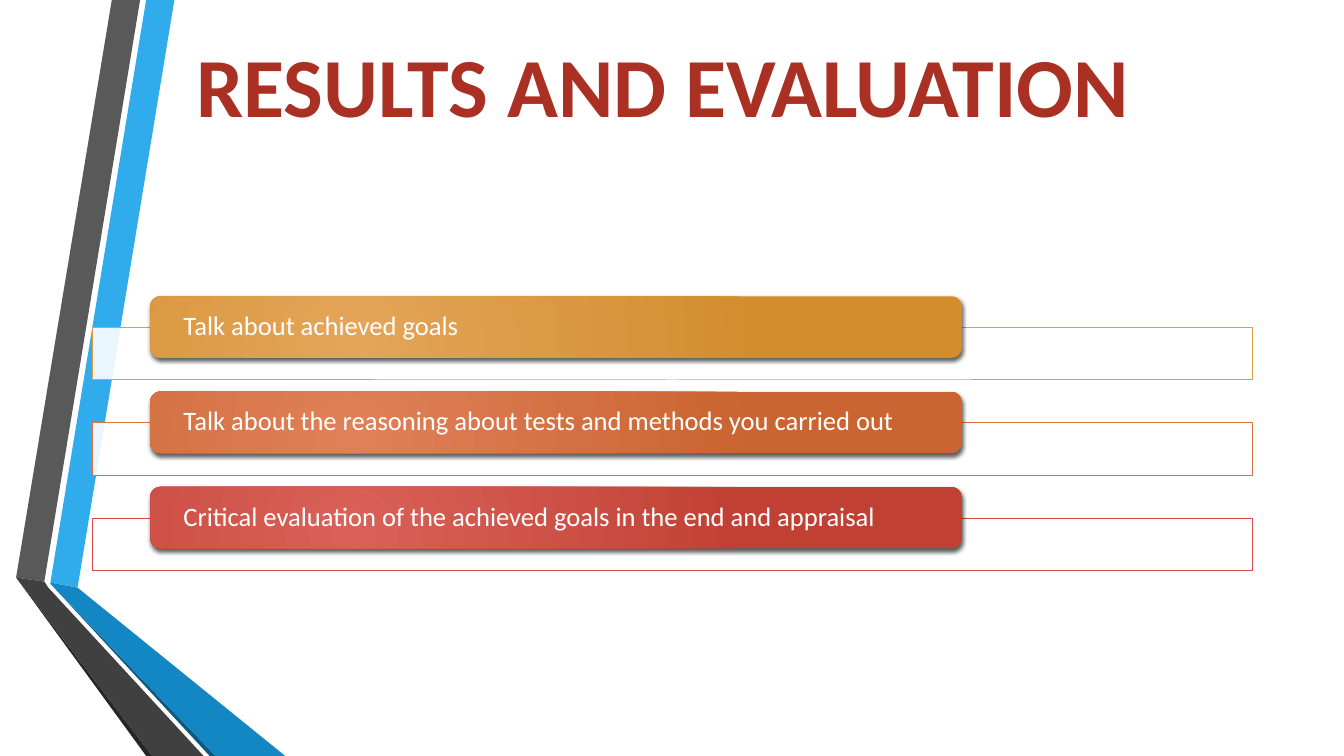
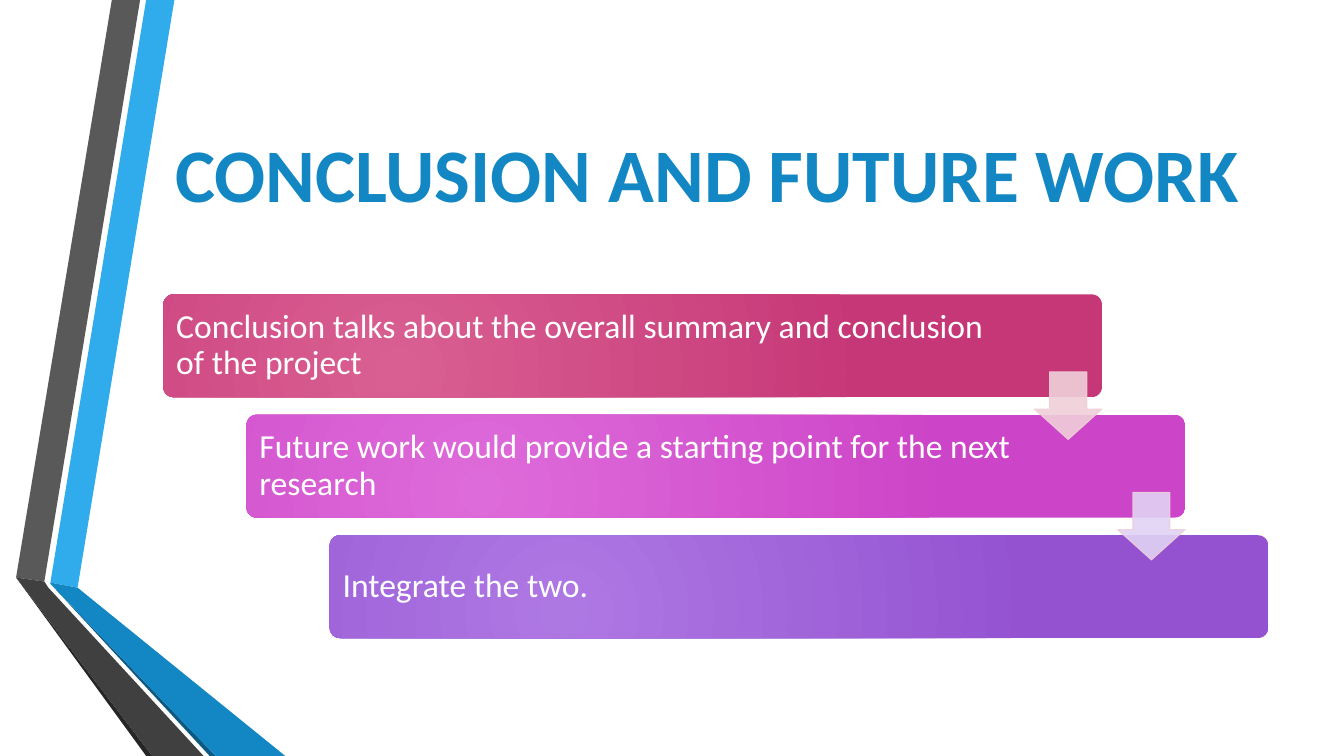
from pptx import Presentation
from pptx.dml.color import RGBColor
from pptx.enum import shapes, text
from pptx.oxml import parse_xml
from pptx.oxml.ns import nsdecls, qn
from pptx.util import Inches, Pt

FONT = "Calibri"
C = {
    "white": "FFFFFF", "black": "000000", "red": "A93023", "blue": "1287C3",
    "sky": "30ACEC", "navy": "0C5A82", "grey": "595959", "dark": "404040",
    "coal": "262626", "pale_pink": "F0CFD9", "pale_violet": "E1D3F4",
    "gold_line": "E29D3E", "orange_line": "DC723C", "red_line": "D64A3B",
}
GRADIENTS = {
    "gold": ("E4A559", "D38D2D"), "orange": ("DF8058", "CA6430"),
    "red": ("D96157", "C04033"), "pink": ("D95F92", "C63777"),
    "magenta": ("DE6BDA", "CC44C7"), "violet": ("AE78E3", "9452D1"),
}
RIBBONS = [
    ("sky", [(0.5, 5.78), (0.77, 5.83), (1.73, 0), (1.45, 0)]),
    ("grey", [(1.39, 0), (1.11, 0), (0.16, 5.73), (0.44, 5.77)]),
    ("coal", [(0.16, 5.73), (1.45, 7.5), (1.51, 7.5)]),
    ("navy", [(0.5, 5.79), (2.08, 7.5), (2.14, 7.5)]),
    ("blue", [(0.5, 5.79), (2.14, 7.5), (2.83, 7.5), (0.77, 5.83), (0.5, 5.78)]),
    ("dark", [(2.02, 7.5), (0.48, 5.83), (0.44, 5.77), (0.16, 5.73), (1.51, 7.5)]),
]
GOALS = [
    ("Talk about achieved goals", "gold"),
    ("Talk about the reasoning about tests and methods you carried out", "orange"),
    ("Critical evaluation of the achieved goals in the end and appraisal", "red"),
]
STEPS = [
    ("Conclusion talks about the overall summary and conclusion of the project",
     "pink", 1.1, "pale_pink"),
    ("Future work would provide a starting point for the next research",
     "magenta", 1.58, "pale_violet"),
    ("Integrate the two.", "violet", 1.58, None),
]


def rgb(name):
    """Return the named palette colour."""
    return RGBColor.from_string(C[name])


def write(sp, words, size, color="white", bold=False, align=text.PP_ALIGN.LEFT,
          insets=(0.1, 0.05, 0.1, 0.05), spacing=None):
    """Put one formatted, vertically centred paragraph in a shape."""
    tf = sp.text_frame
    tf.word_wrap = True
    tf.vertical_anchor = text.MSO_ANCHOR.MIDDLE
    (tf.margin_left, tf.margin_top,
     tf.margin_right, tf.margin_bottom) = map(Inches, insets)
    p = tf.paragraphs[0]
    p.alignment = align
    p.line_spacing = spacing
    r = p.add_run()
    r.text = words
    r.font.name = FONT
    r.font.size = Pt(size)
    r.font.bold = bold
    r.font.color.rgb = rgb(color)


def set_alpha(color_format_parent, percent):
    """Make the solid colour inside an element partly transparent."""
    color = color_format_parent.find(".//" + qn("a:srgbClr"))
    color.append(parse_xml(f'<a:alpha {nsdecls("a")} val="{percent * 1000}"/>'))


def add_shape(s, kind, box, fill="white", line=None, alpha=None, line_alpha=None):
    """Add a flat preset shape with optional outline and transparency."""
    sp = s.shapes.add_shape(kind, *map(Inches, box))
    sp.shadow.inherit = False
    sp.fill.solid()
    sp.fill.fore_color.rgb = rgb(fill)
    if alpha:
        set_alpha(sp.fill._xPr.find(qn("a:solidFill")), alpha)
    if line:
        sp.line.color.rgb = rgb(line)
        sp.line.width = Pt(0.75)
    else:
        sp.line.fill.background()
    if line_alpha:
        set_alpha(sp.line._get_or_add_ln(), line_alpha)
    return sp


def add_panel(s, box, gradient, shadow=False):
    """Add a rounded panel with a circular gradient and an optional shadow."""
    sp = add_shape(s, shapes.MSO_SHAPE.ROUNDED_RECTANGLE, box)
    props = sp.element.spPr
    inner, outer = GRADIENTS[gradient]
    props.replace(props.find(qn("a:solidFill")), parse_xml(
        f'<a:gradFill {nsdecls("a")} rotWithShape="1"><a:gsLst>'
        f'<a:gs pos="0"><a:srgbClr val="{inner}"/></a:gs>'
        f'<a:gs pos="100000"><a:srgbClr val="{outer}"/></a:gs></a:gsLst>'
        '<a:path path="circle"><a:fillToRect l="50000" t="100000" '
        'r="100000" b="50000"/></a:path></a:gradFill>'))
    if shadow:
        props.find(qn("a:effectLst")).append(parse_xml(
            f'<a:outerShdw {nsdecls("a")} blurRad="{Pt(3)}" dist="{Pt(2)}" '
            f'dir="5400000" rotWithShape="0"><a:srgbClr val="{C["black"]}">'
            '<a:alpha val="64000"/></a:srgbClr></a:outerShdw>'))
    return sp


def add_ribbons(s):
    """Draw the folded ribbons on the left edge."""
    for color, points in RIBBONS:
        first, *rest = [(Inches(x), Inches(y)) for x, y in points]
        builder = s.shapes.build_freeform(*first)
        builder.add_line_segments(rest)
        sp = builder.convert_to_shape()
        sp.shadow.inherit = False
        sp.fill.solid()
        sp.fill.fore_color.rgb = rgb(color)
        sp.line.fill.background()


def new_slide(prs, title, box, size, color):
    """Add a blank slide with ribbons and a centred title."""
    s = prs.slides.add_slide(prs.slide_layouts[6])
    add_ribbons(s)
    write(s.shapes.add_textbox(*map(Inches, box)), title, size, color,
          bold=True, align=text.PP_ALIGN.CENTER)
    return s


def add_goal_list(s, left, top, width, pitch=0.945):
    """Stack labelled bars over outlined strips."""
    for i, (words, hue) in enumerate(GOALS):
        y = top + i * pitch
        add_shape(s, shapes.MSO_SHAPE.RECTANGLE, (left, y + 0.31, width, 0.52),
                  line=hue + "_line", alpha=90)
        bar = add_panel(s, (left + 0.57, y, width * 0.7, 0.61), hue, shadow=True)
        write(bar, words, 19, insets=(0.3, 0, 0.3, 0), spacing=0.9)


def add_staircase(s, left, top, width, height, dx=0.825, dy=1.195):
    """Lay out descending steps joined by arrows."""
    arrow = 0.67
    for i, (words, hue, right_inset, _) in enumerate(STEPS):
        step = add_panel(s, (left + i * dx, top + i * dy, width, height), hue)
        step.adjustments[0] = 0.1
        write(step, words, 24, insets=(0.1, 0.1, right_inset, 0.1), spacing=0.9)
    for i, (*_, tint) in enumerate(STEPS[:-1]):
        box = (left + i * dx + width - arrow, top + i * dy + 0.77, arrow, arrow)
        sp = add_shape(s, shapes.MSO_SHAPE.DOWN_ARROW, box, tint,
                       line="pale_pink", alpha=90, line_alpha=90)
        sp.adjustments[0] = 0.55
        sp.adjustments[1] = 0.45


def main():
    """Build and save the two slides."""
    prs = Presentation()
    prs.slide_width, prs.slide_height = Inches(13.33), Inches(7.5)
    s = new_slide(prs, "RESULTS AND EVALUATION ", (0.92, 0.4, 11.5, 0.87), 60, "red")
    add_goal_list(s, 0.92, 2.94, 11.5)
    s = new_slide(prs, "CONCLUSION AND FUTURE WORK ", (1.62, 0.75, 10.96, 1.92),
                  54, "blue")
    add_staircase(s, 1.62, 2.92, 9.31, 1.02)
    prs.save("out.pptx")


if __name__ == "__main__":
    main()
